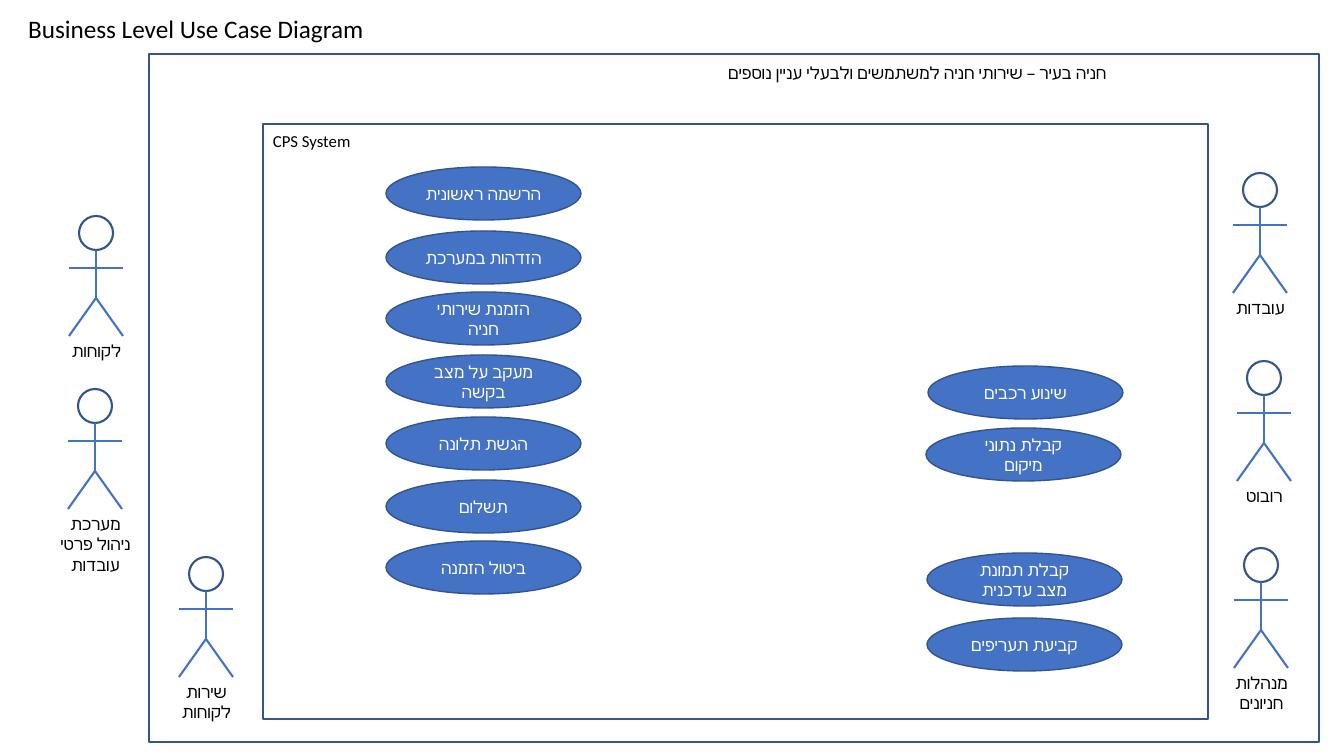
from lxml import etree
from pptx import Presentation
from pptx.dml.color import RGBColor
from pptx.enum.shapes import MSO_CONNECTOR, MSO_SHAPE
from pptx.enum.text import MSO_ANCHOR, PP_ALIGN
from pptx.oxml.ns import qn
from pptx.util import Pt

RECTANGLE, OVAL = MSO_SHAPE.RECTANGLE, MSO_SHAPE.OVAL
STRAIGHT = MSO_CONNECTOR.STRAIGHT
LEFT, CENTER, RIGHT = PP_ALIGN.LEFT, PP_ALIGN.CENTER, PP_ALIGN.RIGHT
TOP, MIDDLE = MSO_ANCHOR.TOP, MSO_ANCHOR.MIDDLE
EMU_PER_PIXEL = 914400 / 100.8
BLUE, DARK_BLUE, BLACK, WHITE = "4472C4", "325491", "000000", "FFFFFF"


def px(*lengths):
    return [round(length * EMU_PER_PIXEL) for length in lengths]


def write(holder, wording, align, size=12, color=BLACK, anchor=TOP, wrap=True):
    frame = holder.text_frame
    frame.text = wording
    frame.word_wrap = wrap
    frame.vertical_anchor = anchor
    for paragraph in frame.paragraphs:
        paragraph.alignment = align
        paragraph.font.name = "Calibri"
        paragraph.font.size = Pt(size)
        paragraph.font.color.rgb = RGBColor.from_string(color)


deck = Presentation()
deck.slide_width, deck.slide_height = px(1344, 756)
slide = deck.slides.add_slide(deck.slide_layouts[5])
shapes = slide.shapes

title = shapes.title
title.left, title.top, title.width, title.height = px(18, 8, 360, 40)
write(title, "Business Level Use Case Diagram", LEFT, size=18, wrap=False)

for bounds in [(149, 54, 1170, 688), (263, 124, 945, 595)]:
    boundary = shapes.add_shape(RECTANGLE, *px(*bounds))
    boundary.shadow.inherit = False
    boundary.fill.background()
    boundary.line.color.rgb = RGBColor.from_string(DARK_BLUE)
    boundary.line.width = Pt(1)

business_name = shapes.add_textbox(*px(661, 58, 456, 30))
write(business_name, "חניה בעיר – שירותי חניה למשתמשים ולבעלי עניין נוספים", RIGHT)
business_name.text_frame.paragraphs[0]._p.get_or_add_pPr().set("rtl", "1")

system_name = shapes.add_textbox(*px(263, 126, 456, 30))
write(system_name, "CPS System", LEFT)

actors = [
    (96, 216, "לקוחות", 25),
    (95, 389, "מערכת ניהול פרטי עובדות", 67),
    (1260, 173, "עובדות", 25),
    (1261, 548, "מנהלות\nחניונים", 50),
    (1264, 361, "רובוט", 25),
    (206, 557, "שירות לקוחות", 50),
]
limbs = [
    (0, 34, 0, 82),
    (0, 82, -27, 120),
    (0, 82, 27, 120),
    (-27, 52, 27, 52),
]
for center, top, role, label_height in actors:
    actor = shapes.add_group_shape()
    head = actor.shapes.add_shape(OVAL, *px(center - 17, top, 34, 34))
    head.shadow.inherit = False
    head.fill.background()
    head.line.color.rgb = RGBColor.from_string(DARK_BLUE)
    head.line.width = Pt(1.5)
    for x1, y1, x2, y2 in limbs:
        limb = actor.shapes.add_connector(
            STRAIGHT, *px(center + x1, top + y1, center + x2, top + y2))
        limb.line.color.rgb = RGBColor.from_string(BLUE)
        limb.line.width = Pt(1.5)
        etree.SubElement(limb._element.spPr, qn("a:effectLst"))
    label = actor.shapes.add_textbox(*px(center - 48, top + 120, 97, label_height))
    write(label, role, CENTER)

use_cases = [
    (386, 167, "הרשמה ראשונית"),
    (386, 231, "הזדהות במערכת"),
    (386, 292, "הזמנת שירותי חניה"),
    (386, 355, "מעקב על מצב בקשה"),
    (386, 417, "הגשת תלונה"),
    (386, 480, "תשלום"),
    (386, 541, "ביטול הזמנה"),
    (928, 366, "שינוע רכבים"),
    (926, 428, "קבלת נתוני מיקום"),
    (927, 553, "קבלת תמונת מצב עדכנית"),
    (927, 618, "קביעת תעריפים"),
]
for left, top, wording in use_cases:
    use_case = shapes.add_shape(OVAL, *px(left, top, 195, 53))
    use_case.shadow.inherit = False
    use_case.fill.solid()
    use_case.fill.fore_color.rgb = RGBColor.from_string(BLUE)
    use_case.line.color.rgb = RGBColor.from_string(DARK_BLUE)
    use_case.line.width = Pt(1)
    write(use_case, wording, CENTER, color=WHITE, anchor=MIDDLE)

deck.save("out.pptx")
